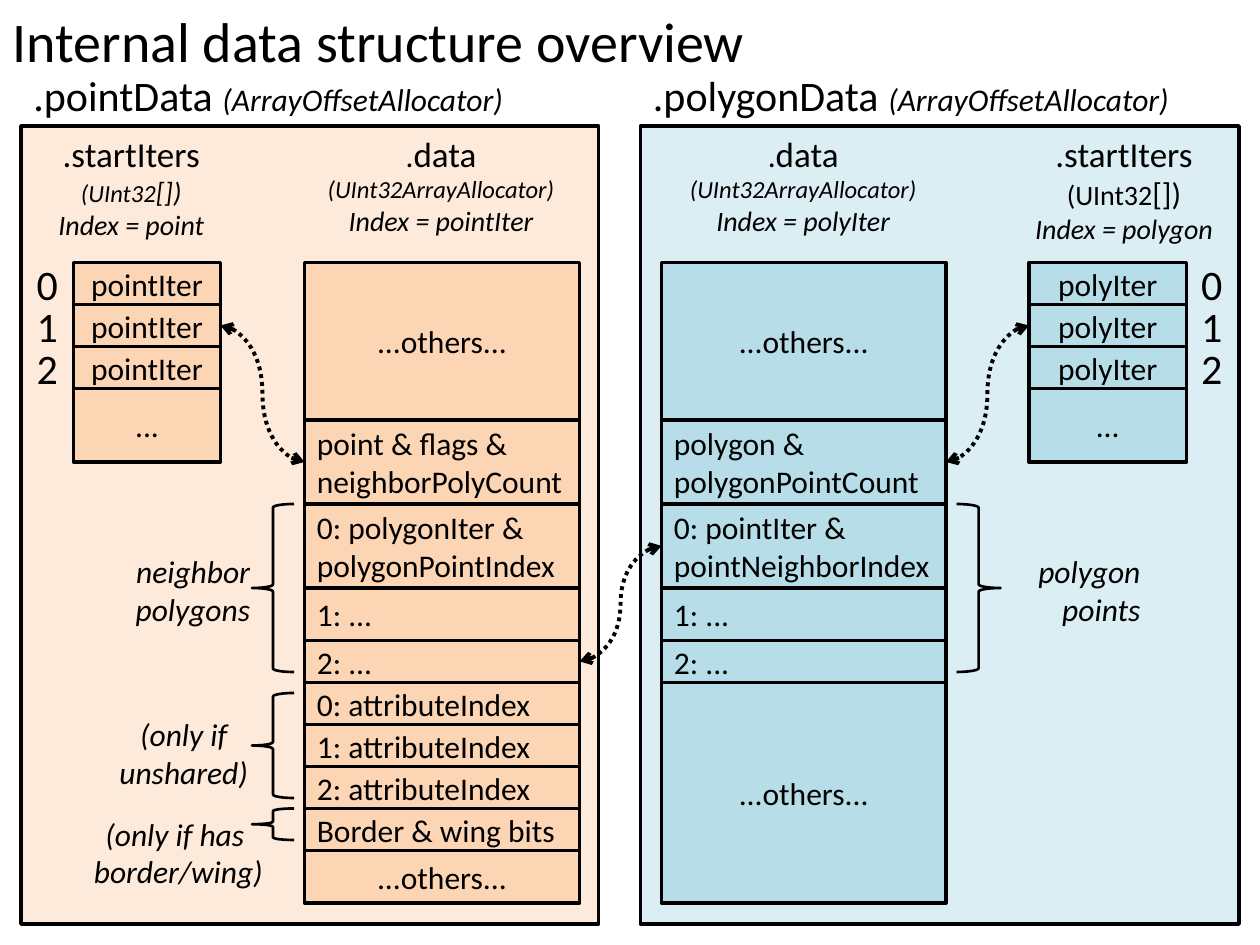
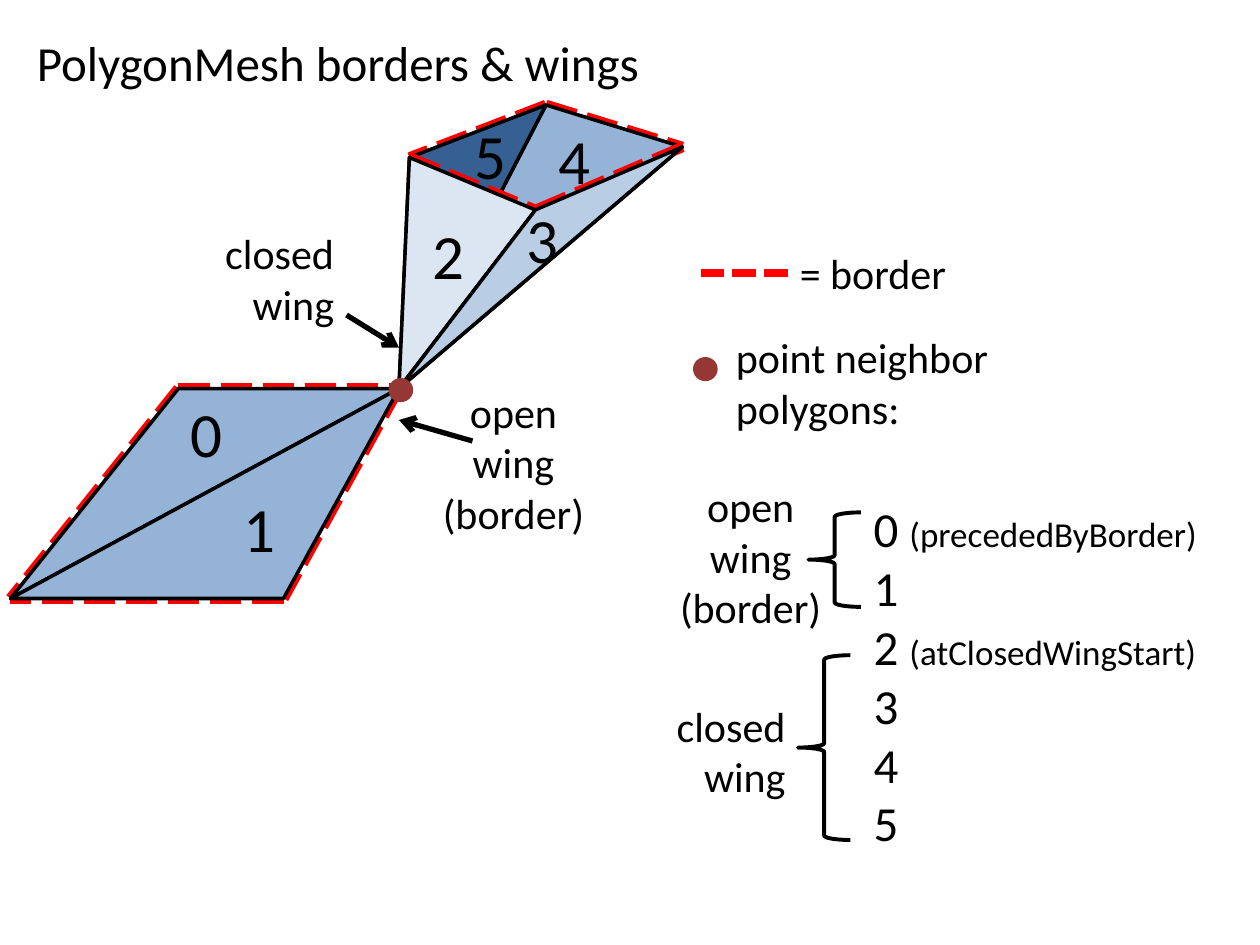
from dataclasses import dataclass
from itertools import accumulate

from lxml.etree import SubElement
from pptx import Presentation
from pptx.dml.color import RGBColor
from pptx.enum.dml import MSO_LINE
from pptx.enum.shapes import MSO_CONNECTOR, MSO_SHAPE
from pptx.enum.text import MSO_ANCHOR, MSO_AUTO_SIZE, PP_ALIGN
from pptx.oxml.ns import qn
from pptx.util import Cm, Pt


@dataclass(frozen=True)
class Theme:
    """Colours, type sizes and line widths of the deck."""
    font: str = "Calibri"
    ink: str = "000000"
    red: str = "FF0000"
    dot: str = "953735"
    peach: str = "FDEADA"
    tan: str = "FCD5B5"
    ice: str = "DBEEF4"
    aqua: str = "B7DEE8"
    pale: str = "DCE6F2"
    light: str = "B9CDE5"
    mid: str = "95B3D7"
    deep: str = "376092"
    mark: int = 36
    title: int = 32
    head: int = 28
    big: int = 24
    sub: int = 20
    text: int = 18
    small: int = 16
    tiny: int = 14
    edge: float = 2


T = Theme()
LEFT, MID, RIGHT = PP_ALIGN.LEFT, PP_ALIGN.CENTER, PP_ALIGN.RIGHT
GROW, FIXED = MSO_AUTO_SIZE.SHAPE_TO_FIT_TEXT, MSO_AUTO_SIZE.NONE


def grid(*nums):
    """Turn twelfths of an inch into lengths."""
    return [Cm(2.54 * n / 12) for n in nums]


def tint(code):
    """Return the colour for a hex code."""
    return RGBColor.from_string(code)


def write(frame, paras, align=LEFT, anchor=MSO_ANCHOR.TOP, fit=FIXED, wrap=True):
    """Fill a text frame with paragraphs of (text, size, italic) runs."""
    frame.word_wrap = wrap
    frame.auto_size = fit
    frame.vertical_anchor = anchor
    for i, runs in enumerate(paras):
        para = frame.add_paragraph() if i else frame.paragraphs[0]
        para.alignment = align
        para.space_before = Pt(0)
        for text, size, slant in runs:
            run = para.add_run()
            run.text = text
            font = run.font
            font.name, font.size, font.italic = T.font, Pt(size), slant
            font.color.rgb = tint(T.ink)


def plain(lines, size=T.text, slant=False):
    """Make one single-run paragraph of each line."""
    return [[(line, size, slant)] for line in lines]


def label(slide, box, paras, align=LEFT, anchor=MSO_ANCHOR.TOP, fit=GROW, wrap=True):
    """Add a text box."""
    frame = slide.shapes.add_textbox(*grid(*box)).text_frame
    write(frame, paras, align, anchor, fit, wrap)


def paint(shape, fill, width=T.edge):
    """Set fill and outline and drop the shadow."""
    shape.shadow.inherit = False
    if fill:
        shape.fill.solid()
        shape.fill.fore_color.rgb = tint(fill)
    else:
        shape.fill.background()
    if width:
        shape.line.color.rgb = tint(T.ink)
        shape.line.width = Pt(width)
    else:
        shape.line.fill.background()
    return shape


def form(slide, kind, box, fill=None, width=T.edge):
    """Add a preset shape."""
    return paint(slide.shapes.add_shape(kind, *grid(*box)), fill, width)


def style(line, color, width, dash=None, ends=()):
    """Set colour, width, dash and arrowheads of a connector."""
    line.line.color.rgb = tint(color)
    line.line.width = Pt(width)
    if dash:
        line.line.dash_style = dash
    props = line.element.spPr
    for end in ends:
        SubElement(props.find(qn("a:ln")), qn("a:" + end), type="arrow")
    SubElement(props, qn("a:effectLst"))


def rule(slide, start, stop, color, width, dash=None, ends=()):
    """Draw a straight line between two points."""
    line = slide.shapes.add_connector(MSO_CONNECTOR.STRAIGHT, *grid(*start, *stop))
    style(line, color, width, dash, ends)


def link(slide, start, site, stop, goal):
    """Join two cells with a dotted double arrow."""
    line = slide.shapes.add_connector(MSO_CONNECTOR.CURVE, 0, 0, 0, 0)
    line.begin_connect(start, site)
    line.end_connect(stop, goal)
    style(line, T.ink, 2.25, MSO_LINE.ROUND_DOT, ("headEnd", "tailEnd"))


def begin(deck, layout, box, text, size):
    """Add a slide with its title."""
    slide = deck.slides.add_slide(deck.slide_layouts[layout])
    title = slide.shapes.title
    title.left, title.top, title.width, title.height = grid(*box)
    write(title.text_frame, plain([text], size))
    return slide


def stack(slide, x, y, width, fill, rows):
    """Stack cells of (height, lines, alignment) downwards."""
    tops = accumulate((row[0] for row in rows), initial=y)
    cells = []
    for top, (high, lines, align) in zip(tops, rows):
        cell = form(slide, MSO_SHAPE.RECTANGLE, (x, top, width, high), fill)
        write(cell.text_frame, plain(lines), align, MSO_ANCHOR.MIDDLE)
        cells.append(cell)
    return cells


@dataclass(frozen=True)
class Side:
    """Content and column places of one panel."""
    name: str
    back: str
    fill: str
    item: str
    kind: list
    data: tuple
    iters: tuple
    dhead: tuple
    ihead: tuple
    count: tuple
    rows: list
    brace: tuple
    spans: list
    notes: list


def panel(slide, box, side):
    """Draw one data panel and return its iterator and data cells."""
    x, y, wide, high = box
    form(slide, MSO_SHAPE.RECTANGLE, box, side.back)
    label(slide, (x, y - 6, 55, 6), [[(side.name + " ", T.big, False),
                                      ("(ArrayOffsetAllocator)", T.text, True)]])
    label(slide, (x + side.dhead[0], y, side.dhead[1], 11.8),
          [[(".", T.text, False), ("data", T.sub, False)],
           [("(UInt32ArrayAllocator)", T.tiny, True)],
           [("Index = " + side.item, T.small, True)]], MID)
    label(slide, (x + side.ihead[0], y, side.ihead[1], 12.1),
          [[(".startIters", T.sub, False)], *side.kind], MID)
    top = y + 13
    for i in range(3):
        label(slide, (x + side.count[0], top + 4 * i, side.count[1], 4),
              plain([str(i)], T.big), MID, MSO_ANCHOR.MIDDLE, FIXED)
    data = stack(slide, x + side.data[0], top, side.data[1], side.fill, side.rows)
    rows = [(4, [side.item], MID)] * 3 + [(7, ["..."], MID)]
    iters = stack(slide, x + side.iters[0], top, side.iters[1], side.fill, rows)
    kind, dx, width = side.brace
    for dy, span in side.spans:
        form(slide, kind, (x + dx, y + dy, width, span), None, 1.5)
    for dx, dy, width, lines, align in side.notes:
        label(slide, (x + dx, y + dy, width, 8.5), plain(lines, T.text, True), align)
    return iters, data


OTHERS = ["...others..."]
POINT = Side(
    ".pointData", T.peach, T.tan, "pointIter",
    [[("(UInt32", T.tiny, True), ("[])", T.small, True)],
     [("Index = point", T.small, True)]],
    (27, 26.2), (5, 14), (26, 28), (0, 21), (0, 5),
    [(15, OTHERS, MID), (8, ["point & flags & neighborPolyCount"], LEFT),
     (8, ["0: polygonIter & ", "polygonPointIndex"], LEFT),
     (5, ["1: ..."], LEFT), (4, ["2: ..."], LEFT),
     *[(4, [f"{i}: attributeIndex"], LEFT) for i in range(3)],
     (4, ["Border & wing bits"], LEFT), (5, OTHERS, MID)],
    (MSO_SHAPE.LEFT_BRACE, 22, 4), [(36, 16), (54, 10), (65, 3)],
    [(8, 40, 15, ["neighbor", "polygons"], RIGHT),
     (7, 55.5, 17, ["(only if", "unshared)"], MID),
     (3, 65, 24, ["(only if has ", "border/wing)"], MID)])
POLY = Side(
    ".polygonData", T.ice, T.aqua, "polyIter",
    [[("(UInt32", T.small, False), ("[])", T.text, False)],
     [("Index = polygon", T.small, True)]],
    (2, 27.1), (37, 15), (0.9, 29.2), (35.2, 21.7), (51.8, 5.2),
    [(15, OTHERS, MID), (8, ["polygon & polygonPointCount"], LEFT),
     (8, ["0: pointIter & ", "pointNeighborIndex"], LEFT),
     (5, ["1: ..."], LEFT), (4, ["2: ..."], LEFT), (21, OTHERS, MID)],
    (MSO_SHAPE.RIGHT_BRACE, 30.1, 4.2), [(36, 16)],
    [(33.2, 40, 15.6, ["polygon", "points"], RIGHT)])


def wing(slide, box, kind, align):
    """Name a wing, adding its border note when it is open."""
    lines = ["open wing", "(border)"] if kind == "open" else ["closed wing"]
    label(slide, box, plain(lines, T.big), align)


def dot(slide, x, y):
    """Draw the point marker."""
    form(slide, MSO_SHAPE.OVAL, (x, y, 2.35, 2.3), T.dot, None)


def mesh(slide, x, y):
    """Draw the polygon mesh with borders, numbers and wing notes."""
    spots = {"hub": (37, 27), "west": (16, 27), "tip": (0, 47), "south": (26, 47),
             "back": (51, 0), "east": (64, 4), "side": (38, 5), "front": (50, 10)}
    spots = {name: (x + dx, y + dy) for name, (dx, dy) in spots.items()}

    def hem(pairs):
        """Dash the border along each pair of spots."""
        for pair in pairs:
            start, stop = pair.split()
            rule(slide, spots[start], spots[stop], T.red, 6, MSO_LINE.SQUARE_DOT)

    def face(names, fill, text, dx, dy):
        """Draw one numbered triangle."""
        first, *rest = [tuple(grid(*spots[name])) for name in names.split()]
        pen = slide.shapes.build_freeform(*first)
        pen.add_line_segments(rest, close=True)
        paint(pen.convert_to_shape(), fill)
        label(slide, (x + dx, y + dy, 5.5, 8.5), plain([text], T.mark), wrap=False)

    hem(["back east", "back side", "west hub", "west tip", "south tip", "hub south"])
    face("back east hub", T.mid, "4", 51, 1)
    face("side back hub", T.deep, "5", 43, 0.5)
    face("west hub tip", T.mid, "0", 16, 27)
    face("hub south tip", T.mid, "1", 21, 36)
    hem(["side front", "east front"])
    face("hub side front", T.pale, "2", 39, 10)
    face("hub east front", T.light, "3", 48, 8.5)
    dot(slide, x + 36, y + 26)
    wing(slide, (x + 39.9, y + 26.2, 16, 15.7), "open", MID)
    wing(slide, (x + 15, y + 11.1, 17, 10.9), "closed", RIGHT)
    for start, stop in (((32, 20), (37, 23.1)), ((44, 32), (37, 30))):
        rule(slide, (x + start[0], y + start[1]), (x + stop[0], y + stop[1]),
             T.ink, 3, ends=["tailEnd"])


def key(slide, x, y):
    """Explain border, point and neighbour order."""
    rule(slide, (x + 16, y + 3), (x + 7, y + 3), T.red, 4.5, MSO_LINE.SQUARE_DOT)
    label(slide, (x + 16, y, 17, 6), plain(["= border"], T.big))
    dot(slide, x + 7, y + 11)
    label(slide, (x + 9, y + 8, 33, 11), plain([" point neighbor", " polygons:"], T.big))
    body = slide.placeholders[1]
    body.left, body.top, body.width, body.height = grid(x + 23, y + 23.9, 35, 35.2)
    notes = {0: "(precededByBorder)", 2: "(atClosedWingStart)"}
    write(body.text_frame,
          [[(f"{i} ", T.head, False), (notes[i], T.sub, False)] if i in notes
           else [(str(i), T.head, False)] for i in range(6)])
    for para in body.text_frame.paragraphs:
        props = para._p.get_or_add_pPr()
        props.set("marL", "0")
        props.set("indent", "0")
        SubElement(props, qn("a:buNone"))
    for dx, dy, high in ((18, 25.8, 9), (17, 39.4, 17.6)):
        form(slide, MSO_SHAPE.LEFT_BRACE, (x + dx, y + dy, 5, high), None, 2.25)
    wing(slide, (x + 4, y + 22.2, 17, 15.7), "open", MID)
    wing(slide, (x, y + 43.1, 17, 10.9), "closed", RIGHT)


def build():
    """Build and save the deck."""
    deck = Presentation()
    deck.slide_width, deck.slide_height = Cm(25.4), Cm(19.05)
    slide = begin(deck, 5, (0, 0, 73, 7.7), "Internal data structure overview", T.title)
    iters, data = panel(slide, (2, 12, 55, 76), POINT)
    turns, polys = panel(slide, (61, 12, 57, 76), POLY)
    link(slide, iters[1], 3, data[1], 1)
    link(slide, turns[1], 1, polys[1], 3)
    link(slide, data[4], 3, polys[2], 1)
    slide = begin(deck, 1, (2.3, 2.5, 111, 6.8), "PolygonMesh borders & wings", T.head)
    mesh(slide, 1, 10)
    key(slide, 59, 23)
    deck.save("out.pptx")


build()
